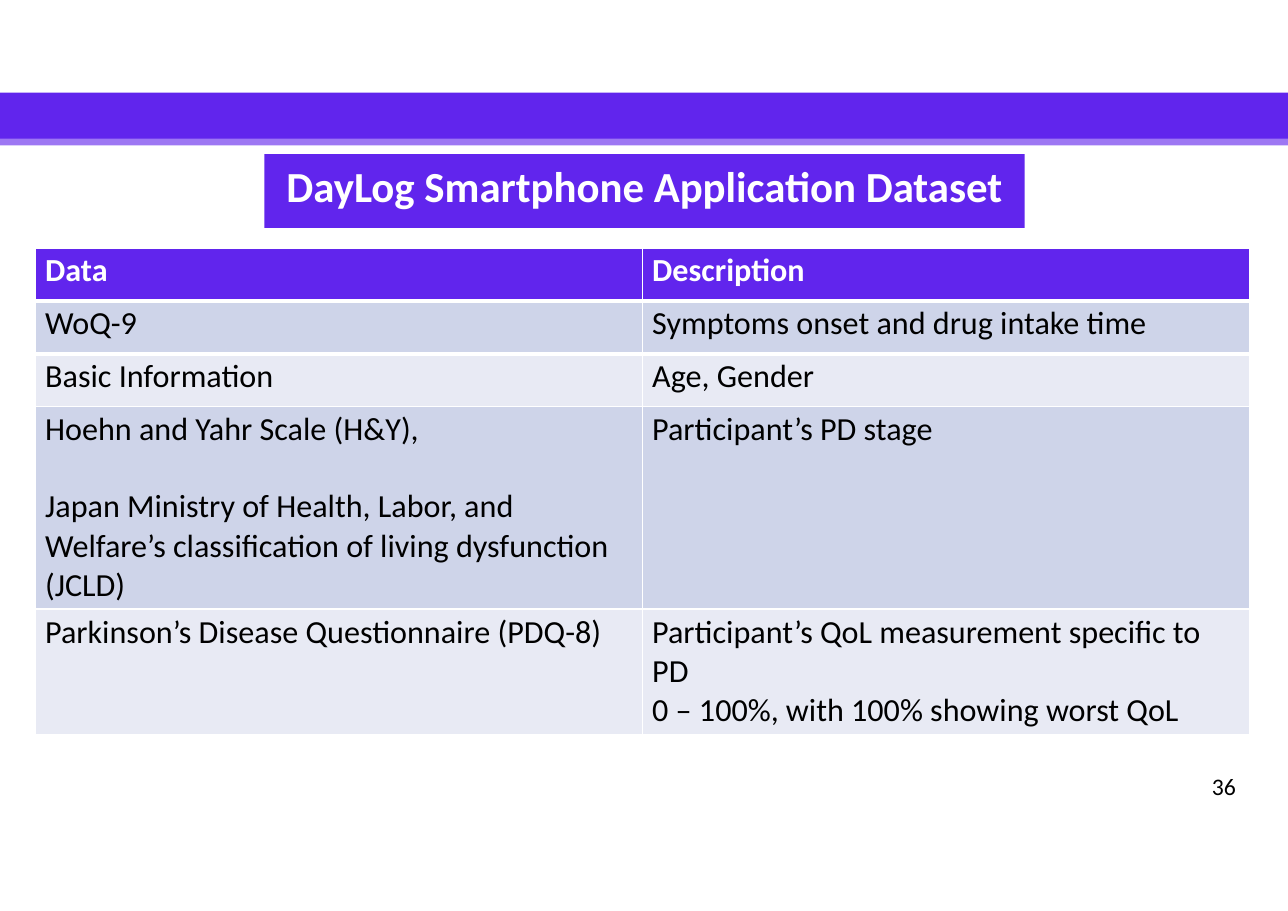
"""Build the DayLog dataset slide: purple bands, title, table and page number."""
from lxml import etree
from pptx import Presentation
from pptx import util as u
from pptx.dml.color import RGBColor
from pptx.enum import shapes, text
from pptx.oxml import ns

PURPLE = RGBColor(0x61, 0x25, 0xED)
LILAC = RGBColor(0x9D, 0x77, 0xF3)
BAND_DARK = RGBColor(0xCE, 0xD4, 0xE9)
BAND_LIGHT = RGBColor(0xE8, 0xEA, 0xF4)
WHITE = RGBColor(0xFF, 0xFF, 0xFF)
BLACK = RGBColor(0, 0, 0)
FONT = "Calibri"
WIDTH, HEIGHT = 11.69, 8.27


def inches(*lengths):
    return [u.Inches(length) for length in lengths]


def style(para, size, color, bold=False):
    para.alignment = text.PP_ALIGN.LEFT
    para.font.name = FONT
    para.font.size = u.Pt(size)
    para.font.bold = bold
    para.font.color.rgb = color


deck = Presentation()
deck.slide_width, deck.slide_height = inches(WIDTH, HEIGHT)
page = deck.slides.add_slide(deck.slide_layouts[5])

for top, height, color in [(0.84, 0.42, PURPLE), (1.26, 0.06, LILAC)]:
    band = page.shapes.add_shape(
        shapes.MSO_SHAPE.RECTANGLE, *inches(0, top, WIDTH, height))
    band.shadow.inherit = False
    band.fill.solid()
    band.fill.fore_color.rgb = color
    band.line.fill.background()

title = page.shapes.title
title.left, title.top, title.width, title.height = inches(2.4, 1.4, 6.9, 0.67)
title.fill.solid()
title.fill.fore_color.rgb = PURPLE
frame = title.text_frame
frame.text = "DayLog Smartphone Application Dataset"
frame.auto_size = text.MSO_AUTO_SIZE.NONE
frame.vertical_anchor = text.MSO_ANCHOR.TOP
frame.margin_left, frame.margin_top, frame.margin_right, frame.margin_bottom = inches(
    0.2, 0.05, 0, 0)
style(frame.paragraphs[0], 28, WHITE, True)
frame.paragraphs[0].space_before = u.Pt(3.9)

rows = [
    ("Data", "Description"),
    ("WoQ-9", "Symptoms onset and drug intake time"),
    ("Basic Information", "Age, Gender"),
    ("Hoehn and Yahr Scale (H&Y),\nJapan Ministry of Health, Labor, and "
     "Welfare’s classification of living dysfunction (JCLD)",
     "Participant’s PD stage"),
    ("Parkinson’s Disease Questionnaire (PDQ-8)",
     "Participant’s QoL measurement specific to PD\n"
     "0 – 100%, with 100% showing worst QoL"),
]
row_heights = [0.48, 0.48, 0.48, 1.84, 1.14]
SCALE_ROW = 3
HEADER_EDGES = {0: "a:lnB", 1: "a:lnT"}
table = page.shapes.add_table(
    len(rows), 2, *inches(0.32, 2.25, 11.02, sum(row_heights))).table
for r, (entries, height) in enumerate(zip(rows, row_heights)):
    table.rows[r].height = u.Inches(height)
    header = r == 0
    for c, entry in enumerate(entries):
        cell = table.cell(r, c)
        cell.text = entry
        cell.fill.solid()
        cell.fill.fore_color.rgb = (
            PURPLE if header else BAND_DARK if r % 2 else BAND_LIGHT)
        cell.margin_left, cell.margin_top, cell.margin_right, cell.margin_bottom = inches(
            0.09, 0.03, 0.15, 0)
        for n, para in enumerate(cell.text_frame.paragraphs):
            style(para, 21, WHITE if header else BLACK, header)
            para.space_before = u.Pt(1.8 if n == 0 else 25 if r == SCALE_ROW else 0)
        if r in HEADER_EDGES:
            edge = etree.Element(ns.qn(HEADER_EDGES[r]), w=str(u.Pt(3)))
            fill = etree.SubElement(edge, ns.qn("a:solidFill"))
            etree.SubElement(fill, ns.qn("a:srgbClr"), val=str(WHITE))
            cell._tc.get_or_add_tcPr().insert(0, edge)

box = page.shapes.add_textbox(*inches(10.91, 7.04, 0.36, 0.25))
frame = box.text_frame
frame.word_wrap = True
frame.margin_left, frame.margin_top, frame.margin_right, frame.margin_bottom = inches(
    0.09, 0, 0, 0)
frame.text = "36"
style(frame.paragraphs[0], 15.5, BLACK)
frame.paragraphs[0].line_spacing = u.Pt(15.9)

deck.save("out.pptx")
